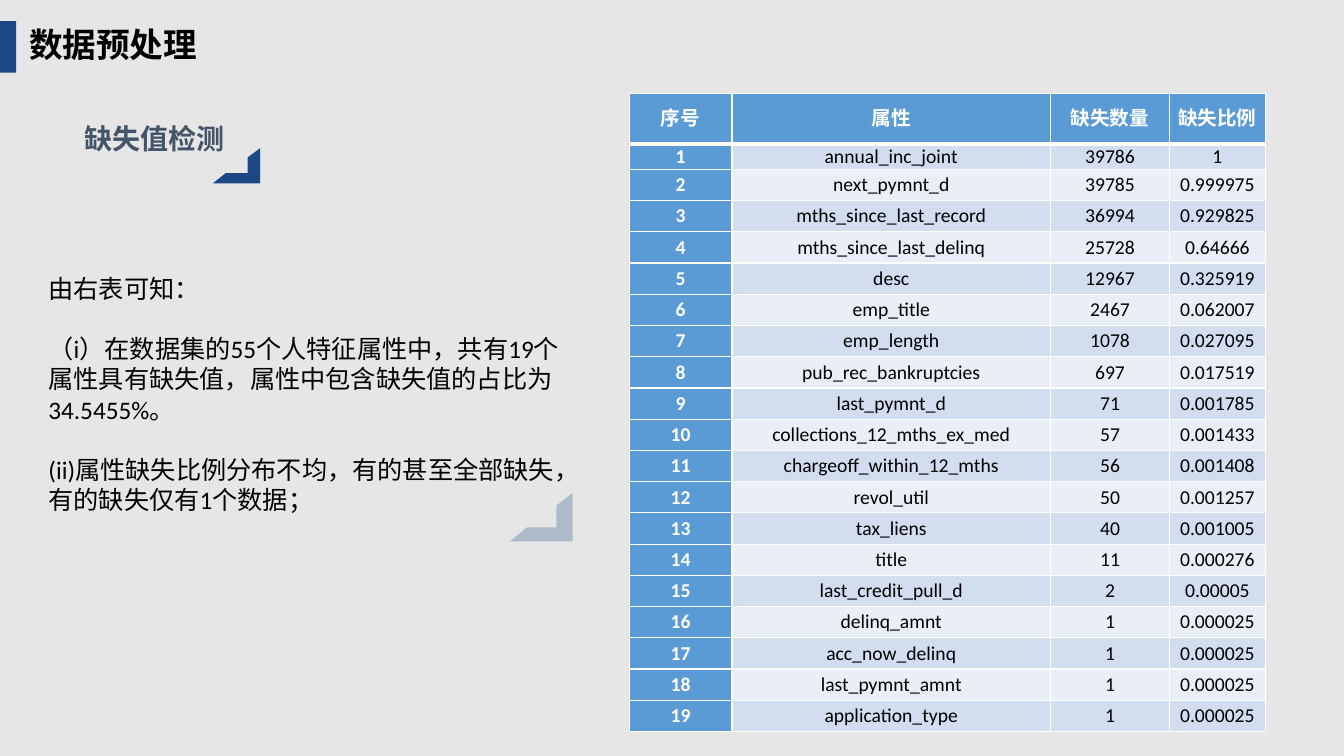
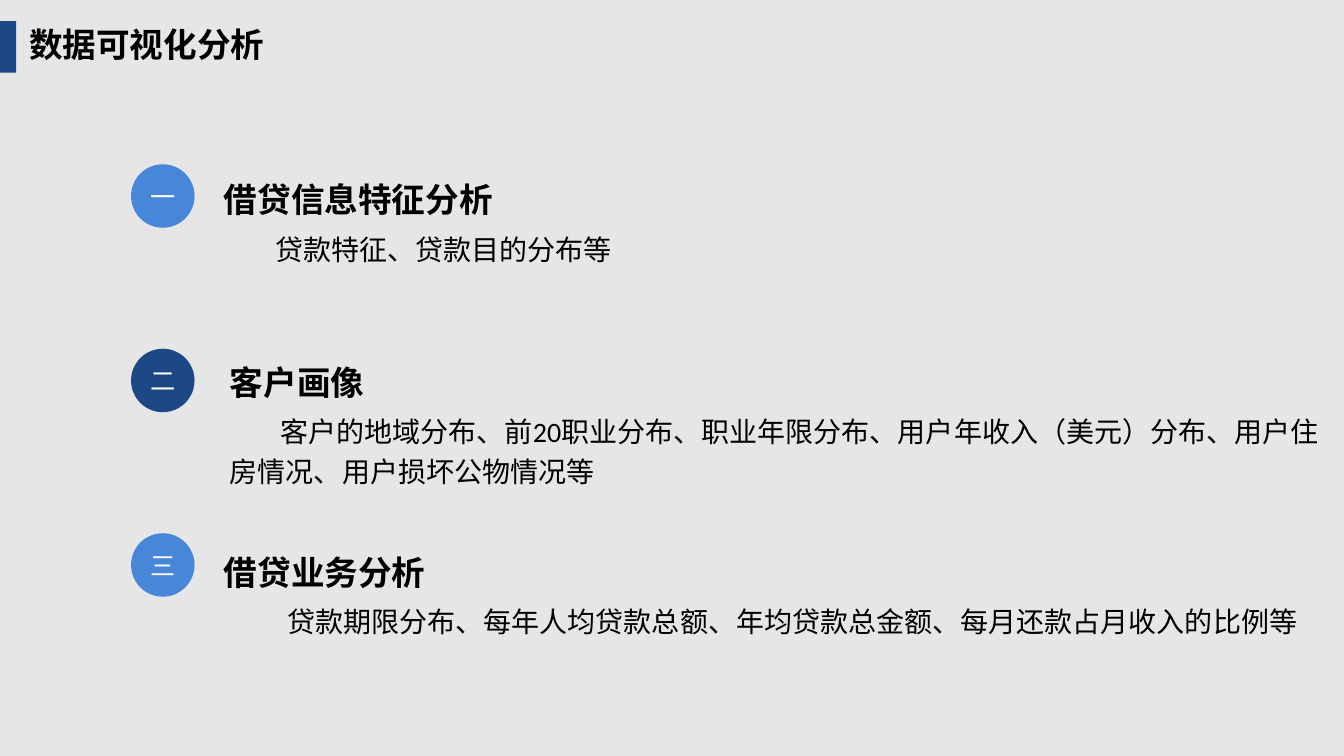
from dataclasses import dataclass

from pptx import Presentation
from pptx import util as u
from pptx.dml.color import RGBColor
from pptx.enum import lang, shapes, text
from pptx.oxml import ns, parse_xml

Inches, Pt = u.Inches, u.Pt


@dataclass(frozen=True)
class Theme:
    back: str = "E7E6E6"
    navy: str = "1C4885"
    blue: str = "4886D8"
    pale: str = "ADBACA"
    slate: str = "445469"
    ink: str = "000000"
    white: str = "FFFFFF"
    table_head: str = "5B9BD5"
    table_odd: str = "D2DEEF"
    table_even: str = "EAEFF7"
    face: str = "Calibri"
    title_face: str = "Noto Sans CJK SC"
    label_face: str = "Arial"
    title: int = 24
    lead: int = 20
    body: int = 18
    cell: int = 14


T = Theme()


def write(tf, content, size=T.body, color=T.ink, bold=False, face=T.face, east=T.face,
          align=None, before=0, spacing=None, indent=0):
    p = tf.paragraphs[0]
    if p.runs:
        p = tf.add_paragraph()
    p.alignment, p.line_spacing, p.space_before = align, spacing, Pt(before)
    if indent:
        p._p.get_or_add_pPr().set("indent", str(Inches(indent)))
    r = p.add_run()
    r.text = content
    f = r.font
    f.name, f.size, f.bold = face, Pt(size), bold
    f.color.rgb = RGBColor.from_string(color)
    f.language_id = lang.MSO_LANGUAGE_ID.SIMPLIFIED_CHINESE
    ea = parse_xml(f'<a:ea {ns.nsdecls("a")} typeface="{east}"/>')
    f._element.find(ns.qn("a:latin")).addnext(ea)


class Deck:
    def __init__(self):
        self.prs = Presentation()
        self.prs.slide_width, self.prs.slide_height = Inches(13.33), Inches(7.5)
        self.s = None

    def slide(self, title):
        self.s = self.prs.slides.add_slide(self.prs.slide_layouts[6])
        fill = self.s.background.fill
        fill.solid()
        fill.fore_color.rgb = RGBColor.from_string(T.back)
        tf = self.box(0.19, 0.24, 2.89, 0.51, side=0.1)
        write(tf, title, size=T.title, bold=True, face=T.title_face, east=T.title_face)
        self.shape(shapes.MSO_SHAPE.RECTANGLE, 0, 0.21, 0.16, 0.51, T.navy)

    def box(self, x, y, w, h, side=0):
        sp = self.s.shapes.add_textbox(Inches(x), Inches(y), Inches(w), Inches(h))
        tf = sp.text_frame
        tf.word_wrap = True
        tf.auto_size = text.MSO_AUTO_SIZE.SHAPE_TO_FIT_TEXT
        tf.margin_left = tf.margin_right = Inches(side)
        tf.margin_top = tf.margin_bottom = 0
        return tf

    def paint(self, sp, color):
        sp.shadow.inherit = False
        sp.fill.solid()
        sp.fill.fore_color.rgb = RGBColor.from_string(color)
        sp.line.fill.background()
        return sp

    def shape(self, kind, x, y, w, h, color):
        sp = self.s.shapes.add_shape(kind, Inches(x), Inches(y), Inches(w), Inches(h))
        return self.paint(sp, color)

    def corner(self, x, y, w, h, color):
        outline = [(1, 1), (0, 1), (0.27, 0.71), (0.74, 0.71), (0.74, 0.26), (1, 0)]
        points = [(Inches(x + w * a), Inches(y + h * b)) for a, b in outline]
        fb = self.s.shapes.build_freeform(*points[0])
        fb.add_line_segments(points[1:], close=True)
        return self.paint(fb.convert_to_shape(), color)

    def badge(self, x, y, numeral, color):
        tf = self.shape(shapes.MSO_SHAPE.OVAL, x, y, 0.63, 0.63, color).text_frame
        tf.margin_left = tf.margin_right = tf.margin_top = tf.margin_bottom = 0
        tf.vertical_anchor = text.MSO_ANCHOR.MIDDLE
        write(tf, numeral, color=T.white, align=text.PP_ALIGN.CENTER)

    def cell(self, cell, content, fill, strong, bottom):
        cell.margin_left = cell.margin_right = Inches(0.05)
        cell.margin_top = cell.margin_bottom = 0
        cell.vertical_anchor = text.MSO_ANCHOR.MIDDLE
        write(cell.text_frame, content, size=T.cell, bold=strong,
              color=T.white if strong else T.ink, align=text.PP_ALIGN.CENTER)
        cell.fill.solid()
        cell.fill.fore_color.rgb = RGBColor.from_string(fill)
        tc_pr = cell._tc.get_or_add_tcPr()
        for i, (side, width) in enumerate(zip("LRTB", (1, 1, 1, bottom))):
            tc_pr.insert(i, parse_xml(
                f'<a:ln{side} {ns.nsdecls("a")} w="{Pt(width)}"><a:solidFill>'
                f'<a:srgbClr val="{T.white}"/></a:solidFill></a:ln{side}>'))

    def table(self, x, y, widths, heights, rows):
        frame = self.s.shapes.add_table(len(rows), len(widths), Inches(x), Inches(y),
                                        Inches(sum(widths)), Inches(sum(heights)))
        tbl = frame.table
        tbl.first_col = True
        for col, w in zip(tbl.columns, widths):
            col.width = Inches(w)
        for i, (row, h, values) in enumerate(zip(tbl.rows, heights, rows)):
            row.height = Inches(h)
            for j, value in enumerate(values):
                strong = i == 0 or j == 0
                band = T.table_odd if i % 2 else T.table_even
                self.cell(row.cells[j], value, T.table_head if strong else band,
                          strong, 1 if i else 3)


MISSING = [
    ("annual_inc_joint", "39786", "1"),
    ("next_pymnt_d", "39785", "0.999975"),
    ("mths_since_last_record", "36994", "0.929825"),
    ("mths_since_last_delinq", "25728", "0.64666"),
    ("desc", "12967", "0.325919"),
    ("emp_title", "2467", "0.062007"),
    ("emp_length", "1078", "0.027095"),
    ("pub_rec_bankruptcies", "697", "0.017519"),
    ("last_pymnt_d", "71", "0.001785"),
    ("collections_12_mths_ex_med", "57", "0.001433"),
    ("chargeoff_within_12_mths", "56", "0.001408"),
    ("revol_util", "50", "0.001257"),
    ("tax_liens", "40", "0.001005"),
    ("title", "11", "0.000276"),
    ("last_credit_pull_d", "2", "0.00005"),
    ("delinq_amnt", "1", "0.000025"),
    ("acc_now_delinq", "1", "0.000025"),
    ("last_pymnt_amnt", "1", "0.000025"),
    ("application_type", "1", "0.000025"),
]

FINDINGS = [
    "由右表可知：",
    "（i）在数据集的55个人特征属性中，共有19个属性具有缺失值，属性中包含缺失值的占比为34.5455%。",
    "(ii)属性缺失比例分布不均，有的甚至全部缺失，有的缺失仅有1个数据；",
]

TOPICS = [
    ("一", T.blue, (2.22, 1.7, 5.54, 0.96), 0.51, "借贷信息特征分析",
     "贷款特征、贷款目的分布等"),
    ("二", T.navy, (2.28, 3.51, 10.97, 1.36), 0.5, "客户画像",
     "客户的地域分布、前20职业分布、职业年限分布、用户年收入（美元）分布、"
     "用户住房情况、用户损坏公物情况等"),
    ("三", T.blue, (2.22, 5.4, 10.87, 0.96), 0.63, "借贷业务分析",
     "贷款期限分布、每年人均贷款总额、年均贷款总金额、每月还款占月收入的比例等"),
]


def preprocessing(deck):
    deck.slide("数据预处理")
    deck.corner(2.11, 1.47, 0.47, 0.35, T.navy)
    deck.corner(5.06, 4.89, 0.62, 0.48, T.pale)
    tf = deck.box(0.48, 2.71, 5.19, 2.42)
    for i, finding in enumerate(FINDINGS):
        write(tf, finding, before=21.5 if i else 0)
    write(deck.box(0.84, 1.21, 3.01, 0.34), "缺失值检测", size=T.lead, color=T.slate,
          bold=True, face=T.label_face)
    rows = [("序号", "属性", "缺失数量", "缺失比例")]
    rows += [(str(n), *values) for n, values in enumerate(MISSING, 1)]
    heights = [0.5, 0.25] + [0.31] * (len(MISSING) - 1)
    deck.table(6.24, 0.93, [1.02, 3.16, 1.18, 0.95], heights, rows)


def visualisation(deck):
    deck.slide("数据可视化分析")
    for i, (numeral, color, place, indent, heading, detail) in enumerate(TOPICS):
        deck.badge(1.3, 1.63 + 1.83 * i, numeral, color)
        tf = deck.box(*place)
        write(tf, heading, size=T.title, bold=True, spacing=1.2)
        write(tf, detail, size=T.lead, spacing=1.2, before=4, indent=indent)


def main():
    deck = Deck()
    preprocessing(deck)
    visualisation(deck)
    deck.prs.save("out.pptx")


if __name__ == "__main__":
    main()
